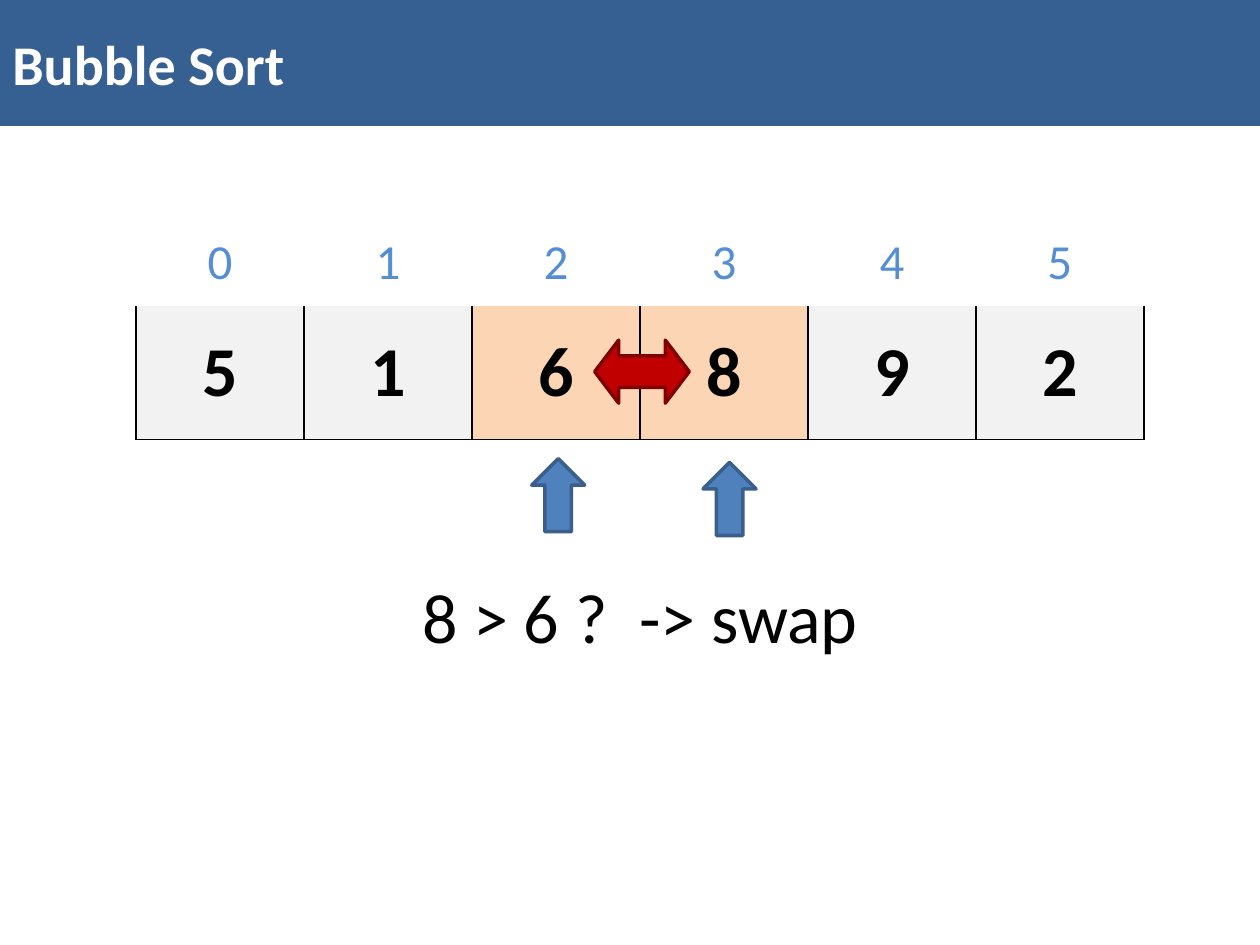
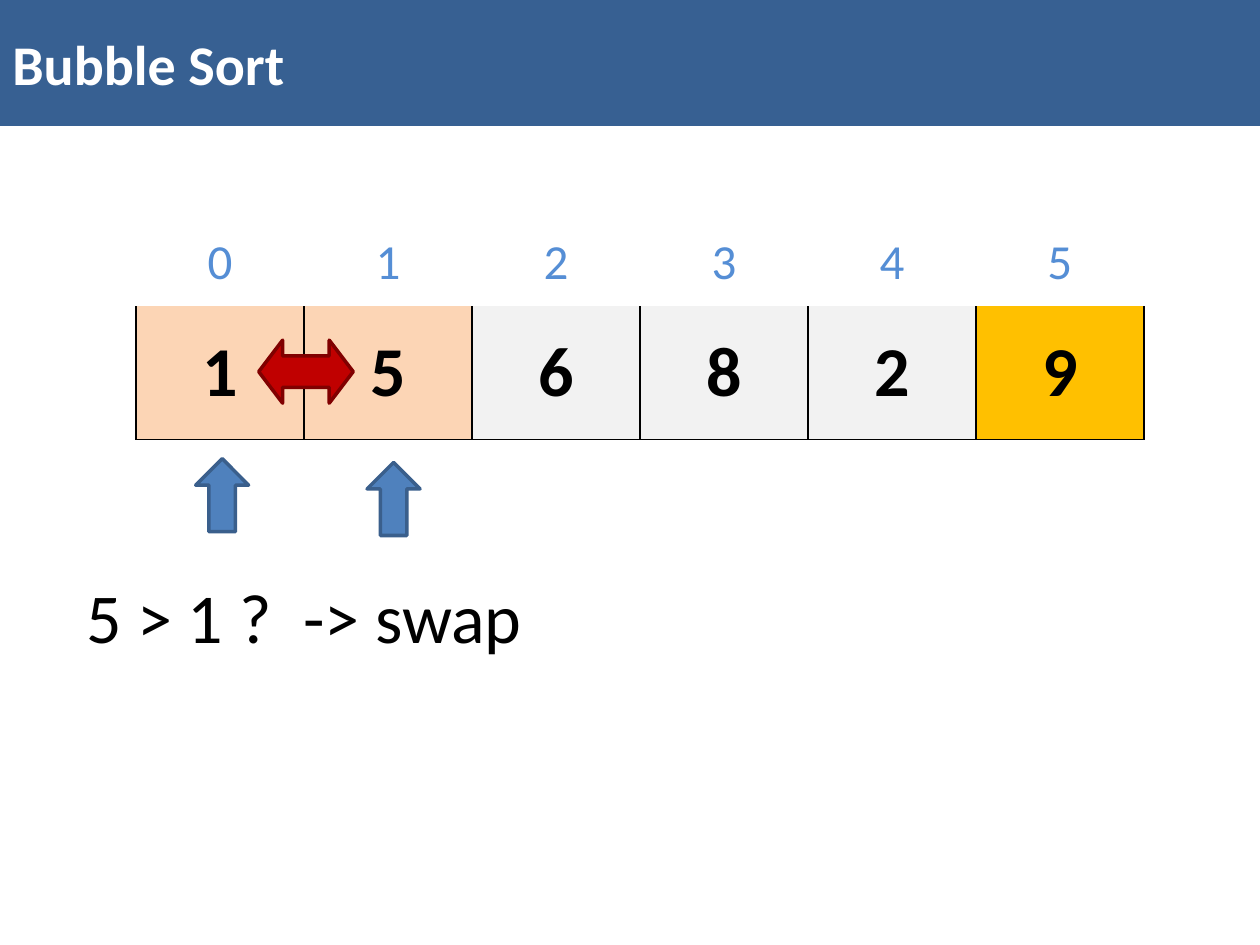
"""Builds two slides that show steps of a bubble sort."""
from lxml.etree import SubElement as Sub
from pptx import Presentation
from pptx.dml.color import RGBColor as RGB
from pptx.enum.shapes import MSO_SHAPE as Shape
from pptx.enum.text import MSO_ANCHOR as Anchor, MSO_AUTO_SIZE as Auto, PP_ALIGN as Align
from pptx.oxml.ns import qn
from pptx.util import Inches, Pt

TITLE = "Bubble Sort"
STEPS = [
    {"items": [5, 1, 6, 8, 9, 2], "left": 2, "done": [], "note": "8 > 6 ?  -> swap"},
    {"items": [1, 5, 6, 8, 2, 9], "left": 0, "done": [5], "note": "5 > 1 ?  -> swap"},
]

FONT = "Calibri"
BAND, WHITE, BLACK = "376092", "FFFFFF", "000000"
PLAIN, PAIR, DONE, INDEX = "F2F2F2", "FCD5B5", "FFC000", "558ED5"
MARK, SWAP = ("4F81BD", "3A5F8C"), ("C00000", "800000")

WIDE, HIGH = 10, 7.5
GRID_X, GRID_W = 1.08, 8
INDEX_Y, INDEX_H = 1.75, 0.67
ITEM_Y, ITEM_H = 2.42, 1.07
MARKS = [(-0.86, 3.64), (0.5, 3.67)]


def color(code):
    return RGB.from_string(code)


def place(*box):
    return [Inches(n) for n in box]


def write(frame, text, size, tint, bold=False, align=Align.CENTER):
    frame.text = text
    para = frame.paragraphs[0]
    para.alignment = align
    font = para.runs[0].font
    font.name, font.size, font.bold = FONT, Pt(size), bold
    font.color.rgb = color(tint)


def draw(slide, kind, box, fill, line=None):
    shape = slide.shapes.add_shape(kind, *place(*box))
    shape.shadow.inherit = False
    shape.fill.solid()
    shape.fill.fore_color.rgb = color(fill)
    if line:
        shape.line.color.rgb = color(line)
        shape.line.width = Pt(2)
    else:
        shape.line.fill.background()
    return shape


def frame_cell(cell):
    props = cell._tc.get_or_add_tcPr()
    for spot, side in enumerate(("lnL", "lnR", "lnT", "lnB")):
        edge = Sub(props, qn(f"a:{side}"), w=str(Pt(1)))
        Sub(Sub(edge, qn("a:solidFill")), qn("a:srgbClr"), val=BLACK)
        props.insert(spot, edge)


def add_row(slide, top, high, texts, size, tint, fills=None):
    count = len(texts)
    table = slide.shapes.add_table(1, count, *place(GRID_X, top, GRID_W, high)).table
    table.first_row = table.horz_banding = False
    for col, text in enumerate(texts):
        table.columns[col].width = Inches(GRID_W / count)
        cell = table.cell(0, col)
        cell.vertical_anchor = Anchor.MIDDLE
        write(cell.text_frame, str(text), size, tint, bold=bool(fills))
        if fills:
            cell.fill.solid()
            cell.fill.fore_color.rgb = color(fills[col])
            frame_cell(cell)
        else:
            cell.fill.background()


def add_title(slide):
    band = draw(slide, Shape.RECTANGLE, (0, 0, WIDE, 1), BAND)
    band.text_frame.vertical_anchor = Anchor.MIDDLE
    write(band.text_frame, TITLE, 32, WHITE, True, Align.LEFT)


def add_note(slide, mid, text):
    frame = slide.shapes.add_textbox(*place(mid - 2, 4.5, 4, 0.77)).text_frame
    frame.word_wrap = True
    frame.auto_size = Auto.SHAPE_TO_FIT_TEXT
    write(frame, text, 40, BLACK)


def add_step(deck, step):
    slide = deck.slides.add_slide(deck.slide_layouts[6])
    items, left = step["items"], step["left"]
    count = len(items)
    mid = GRID_X + (left + 1) * GRID_W / count
    fills = [PAIR if n in (left, left + 1) else DONE if n in step["done"] else PLAIN
             for n in range(count)]
    add_title(slide)
    add_row(slide, ITEM_Y, ITEM_H, items, 40, BLACK, fills)
    add_row(slide, INDEX_Y, INDEX_H, range(count), 28, INDEX)
    for shift, top in MARKS:
        mark = draw(slide, Shape.DOWN_ARROW, (mid + shift, top, 0.42, 0.58), *MARK)
        mark.rotation = 180
    add_note(slide, mid, step["note"])
    swap = draw(slide, Shape.LEFT_RIGHT_ARROW, (mid - 0.36, 2.7, 0.75, 0.5), *SWAP)
    swap.adjustments[1] = 0.38


def main():
    deck = Presentation()
    deck.slide_width, deck.slide_height = place(WIDE, HIGH)
    for step in STEPS:
        add_step(deck, step)
    deck.save("out.pptx")


if __name__ == "__main__":
    main()
